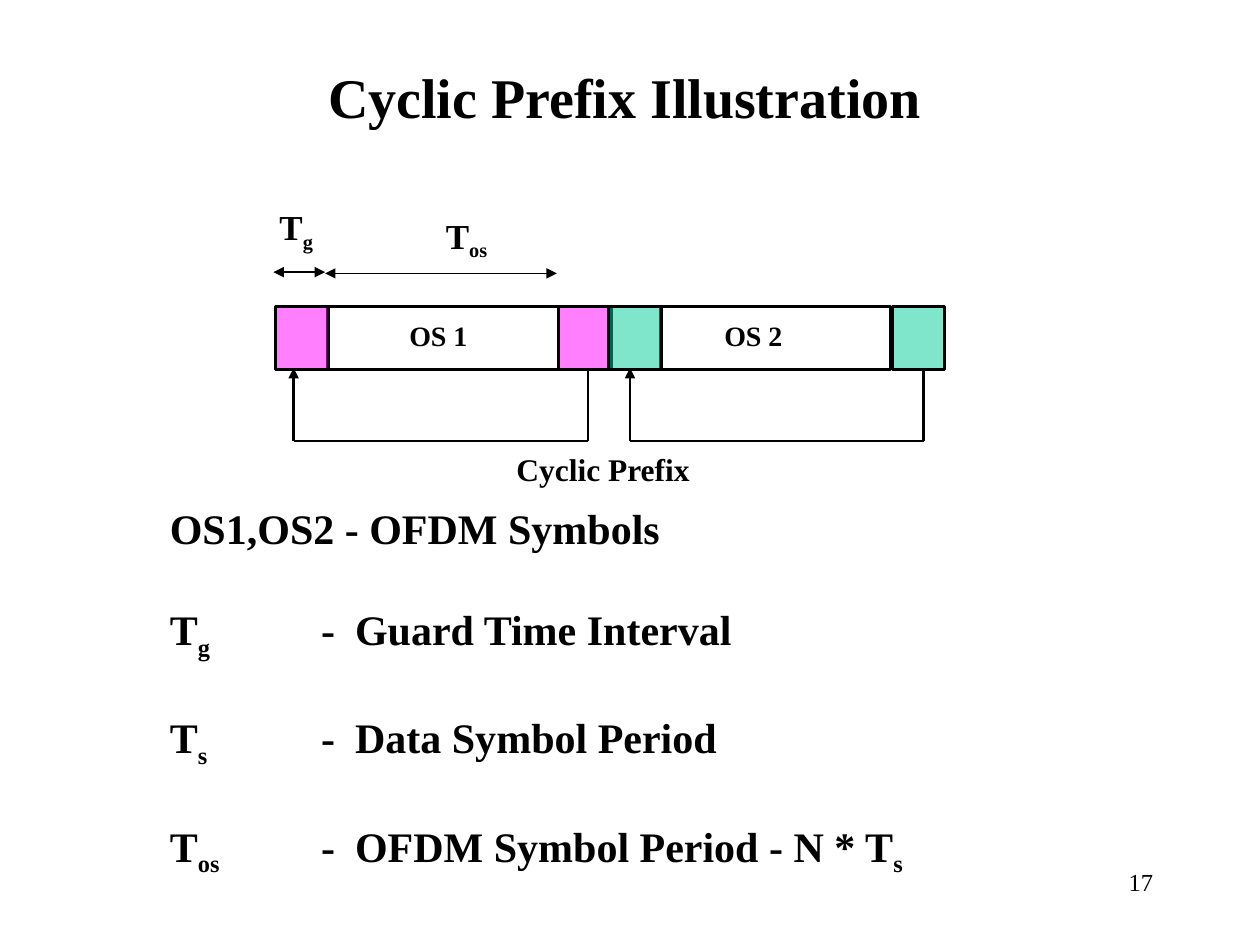
from lxml import etree
from pptx import Presentation
from pptx.dml.color import RGBColor
from pptx.enum.shapes import MSO_CONNECTOR, MSO_SHAPE
from pptx.enum.text import MSO_ANCHOR, PP_ALIGN
from pptx.oxml.ns import qn
from pptx.util import Inches, Pt

LINE = MSO_CONNECTOR.STRAIGHT
RECT = MSO_SHAPE.RECTANGLE
MIDDLE = MSO_ANCHOR.MIDDLE
CENTER, LEFT, RIGHT = PP_ALIGN.CENTER, PP_ALIGN.LEFT, PP_ALIGN.RIGHT
FONT = "Times New Roman"
BLACK, PINK, GREEN = "000000", "FF00FF", "00CC99"
color = RGBColor.from_string


def write(para, runs, size, bold=True, align=LEFT):
    """Add the runs to a paragraph; every second run is a subscript."""
    para.alignment = align
    for i, words in enumerate(runs):
        run = para.add_run()
        run.text = words
        font = run.font
        font.name, font.size, font.bold = FONT, Pt(size), bold
        font.color.rgb = color(BLACK)
        if i % 2:
            font._element.set("baseline", "-25000")


def connect(x1, y1, x2, y2, width, ends=()):
    """Draw a line with arrowheads at the named ends."""
    line = slide.shapes.add_connector(
        LINE, Inches(x1), Inches(y1), Inches(x2), Inches(y2))
    line.line.color.rgb = color(BLACK)
    line.line.width = Pt(width)
    for end in ends:
        etree.SubElement(line.line._get_or_add_ln(), qn("a:" + end), type="triangle")
    etree.SubElement(line._element.spPr, qn("a:effectLst"))


prs = Presentation()
prs.slide_width, prs.slide_height = Inches(10), Inches(7.5)
slide = prs.slides.add_slide(prs.slide_layouts[5])

title = slide.shapes.title
title.left, title.top = Inches(2.5), Inches(0.44)
title.width, title.height = Inches(4.92), Inches(0.64)
title.text_frame.word_wrap = False
title.text_frame.vertical_anchor = MIDDLE
write(title.text_frame.paragraphs[0], ["Cyclic Prefix Illustration"], 32, align=CENTER)

# Symbols with their guard intervals
blocks = [
    (2.6, 1.83, None), (5.24, 1.83, None),
    (4.43, 0.42, PINK), (7.08, 0.42, GREEN),
    (4.83, 0.42, GREEN), (2.19, 0.42, PINK),
]
for x, w, fill in blocks:
    block = slide.shapes.add_shape(RECT, Inches(x), Inches(2.43), Inches(w), Inches(0.5))
    block.shadow.inherit = False
    block.line.color.rgb = color(BLACK)
    block.line.width = Pt(1.75)
    if fill:
        block.fill.solid()
        block.fill.fore_color.rgb = color(fill)
        tint = block._element.spPr.find(".//" + qn("a:srgbClr"))
        etree.SubElement(tint, qn("a:alpha"), val="50000")
    else:
        block.fill.background()

# Each symbol's tail is copied to its front
for front, tail in [(2.33, 4.67), (5, 7.33)]:
    connect(tail, 2.92, tail, 3.5, 1.25)
    connect(tail, 3.5, front, 3.5, 1.25)
    connect(front, 3.5, front, 2.92, 1.25, ["tailEnd"])

# Time spans
for x1, x2, y in [(2.58, 4.42, 2.17), (2.17, 2.58, 2.16)]:
    connect(x1, y, x2, y, 0.75, ["headEnd", "tailEnd"])

labels = [
    (3.44, 1.65, 0.6, 0.48, ["T", "os"], 20),
    (2.12, 1.58, 0.6, 0.48, ["T", "g"], 20),
    (4, 3.52, 1.65, 0.4, ["Cyclic Prefix"], 18),
    (3.15, 2.48, 0.75, 0.37, ["OS 1"], 16),
    (5.65, 2.48, 0.75, 0.37, ["OS 2"], 16),
]
for x, y, w, h, runs, size in labels:
    label = slide.shapes.add_textbox(Inches(x), Inches(y), Inches(w), Inches(h))
    label.text_frame.word_wrap = True
    write(label.text_frame.paragraphs[0], runs, size)

legend = slide.shapes.add_textbox(Inches(1.25), Inches(3.94), Inches(6.34), Inches(3.52))
frame = legend.text_frame
frame.word_wrap = True
write(frame.paragraphs[0], ["OS1,OS2 - OFDM Symbols"], 24)
terms = [
    ["T", "g", "\t-\tGuard Time Interval"],
    ["T", "s", "\t-\tData Symbol Period"],
    ["T", "os", "\t-\tOFDM Symbol Period - N * T", "s"],
]
for runs in terms:
    para = frame.add_paragraph()
    para.space_before = Pt(29)
    write(para, runs, 24)
    stops = etree.SubElement(para._p.get_or_add_pPr(), qn("a:tabLst"))
    for stop in (1.2, 1.47):
        etree.SubElement(stops, qn("a:tab"), pos=str(Inches(stop)), algn="l")

number = slide.shapes.add_textbox(Inches(7.17), Inches(6.83), Inches(2.08), Inches(0.5))
number.text_frame.word_wrap = True
write(number.text_frame.paragraphs[0], ["17"], 14, bold=False, align=RIGHT)

prs.save("out.pptx")
